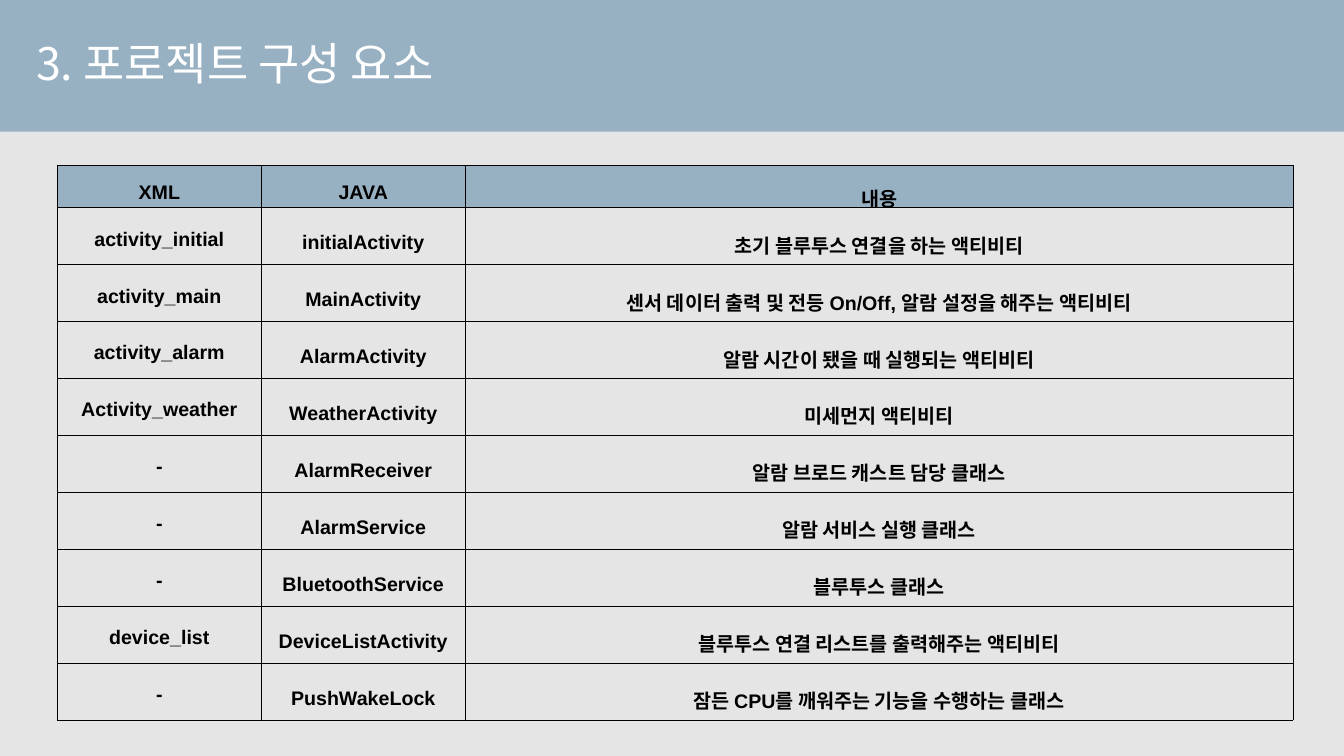
from lxml.etree import SubElement
from pptx import Presentation
from pptx.dml.color import RGBColor
from pptx.enum.shapes import MSO_SHAPE
from pptx.enum.text import MSO_ANCHOR, PP_ALIGN
from pptx.oxml.ns import qn
from pptx.util import Pt

BLUE, GREY, BLACK, WHITE = "97B1C3", "E5E5E5", "000000", "FFFFFF"
KOREAN = "Noto Sans CJK KR"
HEADER_HEIGHT, ROW_HEIGHT = 30.24, 40.7
COLUMN_WIDTHS = [145.7, 145.7, 591.3]
COMPONENTS = [
    ("XML", "JAVA", "내용"),
    ("activity_initial", "initialActivity", "초기 블루투스 연결을 하는 액티비티"),
    ("activity_main", "MainActivity", "센서 데이터 출력 및 전등 On/Off, 알람 설정을 해주는 액티비티"),
    ("activity_alarm", "AlarmActivity", "알람 시간이 됐을 때 실행되는 액티비티"),
    ("Activity_weather", "WeatherActivity", "미세먼지 액티비티"),
    ("-", "AlarmReceiver", "알람 브로드 캐스트 담당 클래스"),
    ("-", "AlarmService", "알람 서비스 실행 클래스"),
    ("-", "BluetoothService", "블루투스 클래스"),
    ("device_list", "DeviceListActivity", "블루투스 연결 리스트를 출력해주는 액티비티"),
    ("-", "PushWakeLock", "잠든 CPU를 깨워주는 기능을 수행하는 클래스"),
]


def paint(fill, color):
    fill.solid()
    fill.fore_color.rgb = RGBColor.from_string(color)


def apply(target, values):
    for name, value in values.items():
        setattr(target, name, value)


def write(paragraph, text, color, paragraph_format, font_format):
    """Fill the paragraph with one run, using the Korean font for Hangul."""
    apply(paragraph, paragraph_format)
    run = paragraph.add_run()
    run.text = text
    paint(run.font.fill, color)
    apply(run.font, font_format)
    SubElement(run.font._element, qn("a:ea"), typeface=KOREAN)


def add_band(slide, width, height):
    band = slide.shapes.add_shape(MSO_SHAPE.RECTANGLE, 0, 0, width, height)
    band.shadow.inherit = False
    band.line.fill.background()
    paint(band.fill, BLUE)


def add_title(slide, text, height):
    frame = slide.shapes.add_textbox(Pt(18.72), 0, Pt(828), height).text_frame
    apply(frame, {"word_wrap": True, "vertical_anchor": MSO_ANCHOR.MIDDLE})
    write(frame.paragraphs[0], text, WHITE, {"line_spacing": 0.9},
          {"size": Pt(32), "name": KOREAN})


def add_borders(cell):
    properties = cell._tc.get_or_add_tcPr()
    for index, side in enumerate(("lnL", "lnR", "lnT", "lnB")):
        line = properties.makeelement(qn(f"a:{side}"), {"w": str(Pt(0.28))})
        fill = SubElement(line, qn("a:solidFill"))
        SubElement(fill, qn("a:srgbClr"), val=BLACK)
        properties.insert(index, line)


def fill_cell(cell, text, is_header, line_spacing):
    apply(cell, {"vertical_anchor": MSO_ANCHOR.MIDDLE,
                 "margin_left": Pt(3.6), "margin_right": Pt(3.6),
                 "margin_top": Pt(0.72), "margin_bottom": Pt(0.72)})
    if is_header:
        paint(cell.fill, BLUE)
    else:
        cell.fill.background()
    add_borders(cell)
    write(cell.text_frame.paragraphs[0], text, BLACK,
          {"alignment": PP_ALIGN.CENTER, "line_spacing": line_spacing},
          {"size": Pt(14), "bold": True, "name": "Arial"})


def add_component_table(slide):
    heights = [HEADER_HEIGHT] + [ROW_HEIGHT] * (len(COMPONENTS) - 1)
    table = slide.shapes.add_table(
        len(heights), len(COLUMN_WIDTHS), Pt(41), Pt(118),
        Pt(sum(COLUMN_WIDTHS)), Pt(sum(heights))).table
    apply(table, {"first_row": False, "horz_banding": False})
    for column, width in zip(table.columns, COLUMN_WIDTHS):
        column.width = Pt(width)
    for r, (height, texts) in enumerate(zip(heights, COMPONENTS)):
        table.rows[r].height = Pt(height)
        for c, text in enumerate(texts):
            line_spacing = 1.3 if r > 0 and c == 0 else 1.6
            fill_cell(table.cell(r, c), text, r == 0, line_spacing)


def main():
    deck = Presentation()
    apply(deck, {"slide_width": Pt(960), "slide_height": Pt(540)})
    slide = deck.slides.add_slide(deck.slide_layouts[6])
    paint(slide.background.fill, GREY)
    band_height = Pt(94)
    add_band(slide, deck.slide_width, band_height)
    add_title(slide, "3. 포로젝트 구성 요소", band_height)
    add_component_table(slide)
    deck.save("out.pptx")


if __name__ == "__main__":
    main()
